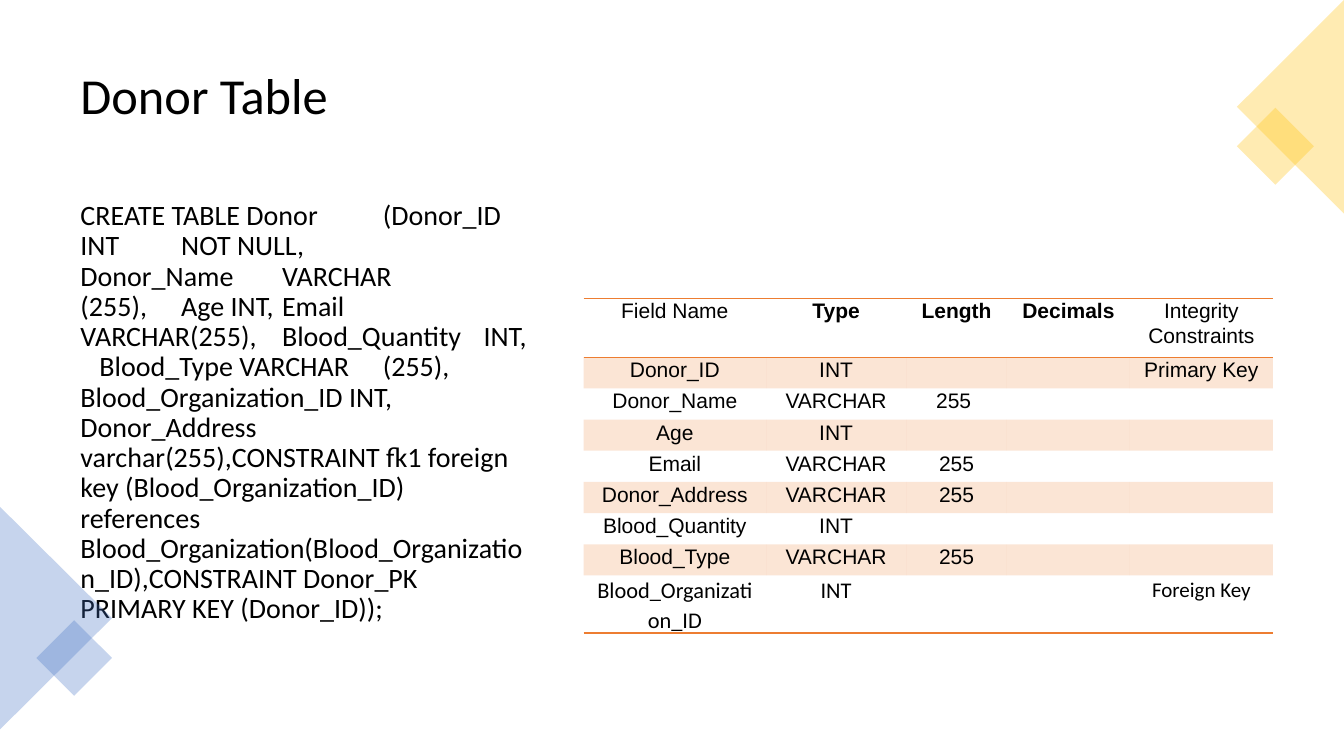
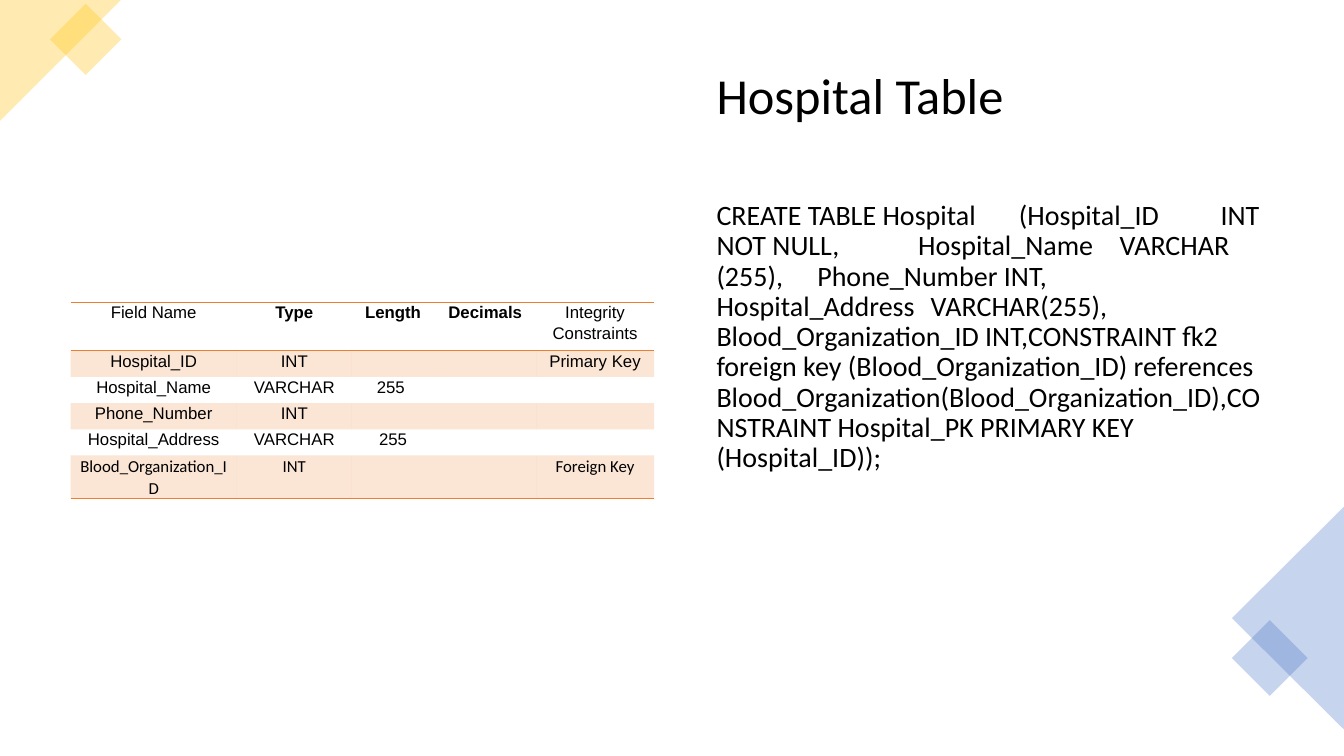
"""Builds two slides that each pair a table definition in SQL with its field list."""
from lxml.etree import SubElement
from pptx import Presentation
from pptx.dml.color import RGBColor
from pptx.enum.shapes import MSO_SHAPE
from pptx.enum.text import MSO_ANCHOR, PP_ALIGN
from pptx.oxml.ns import qn
from pptx.util import Pt

BLACK, ORANGE, YELLOW, BLUE = "000000", "ED7D31", "FFC000", "4472C4"
HEADS = ("Field Name", "Type", "Length", "Decimals", "Integrity Constraints")
BOLD_HEADS = HEADS[1:4]
PLAIN_STYLE = "{2D5ABB26-0587-4C30-8999-92F81FD0307C}"
TRIANGLE, CORNER = MSO_SHAPE.ISOSCELES_TRIANGLE, MSO_SHAPE.RIGHT_TRIANGLE
TAB_STEP, TAB_COUNT = 72, 5

SLIDES = [
    {
        "title": "Donor Table",
        "title_box": (50.4, 25.2, 859, 89.3),
        "sql": "CREATE TABLE Donor\t(Donor_ID\tINT\tNOT NULL,\tDonor_Name\tVARCHAR\t(255),"
               "\tAge INT,\tEmail\tVARCHAR(255),\tBlood_Quantity\tINT,    Blood_Type VARCHAR"
               "\t(255),    Blood_Organization_ID INT,     Donor_Address varchar(255),"
               "CONSTRAINT fk1 foreign key (Blood_Organization_ID) references "
               "Blood_Organization(Blood_Organization_ID),"
               "CONSTRAINT Donor_PK PRIMARY KEY (Donor_ID));",
        "sql_box": (50.4, 140.4, 333.4, 346.3),
        "corners": [
            (BLUE, TRIANGLE, 90, (0, 362, 80, 159), (26, 443, 54, 54)),
            (YELLOW, TRIANGLE, 270, (883.5, 0, 76.5, 152.6), (883.5, 77, 55, 55)),
        ],
        "table": {
            "at": (416.9, 213.1), "cols": (130.3, 100.1, 72, 87.8, 102.2),
            "heights": (42, 22.3), "inset": 7.2, "size": 15, "link_size": 16,
            "rows": [
                ("Donor_ID", "INT", "", "", "Primary Key"),
                ("Donor_Name", "VARCHAR", "255 ", "", ""),
                ("Age", "INT", "", "", ""),
                ("Email", "VARCHAR", "255", "", ""),
                ("Donor_Address", "VARCHAR", "255", "", ""),
                ("Blood_Quantity", "INT", "", "", ""),
                ("Blood_Type", "VARCHAR", "255", "", ""),
                ("Blood_Organization_ID", "INT", "", "", "Foreign Key"),
            ],
        },
    },
    {
        "title": "Hospital Table",
        "title_box": (504.7, 25.2, 404.6, 89.3),
        "sql": "CREATE TABLE Hospital\t(Hospital_ID\tINT\tNOT NULL,\tHospital_Name\tVARCHAR"
               "\t(255),\tPhone_Number INT,\tHospital_Address\t  VARCHAR(255),"
               "    Blood_Organization_ID INT,CONSTRAINT fk2 foreign key "
               "(Blood_Organization_ID) references "
               "Blood_Organization(Blood_Organization_ID),"
               "CONSTRAINT Hospital_PK PRIMARY KEY (Hospital_ID));",
        "sql_box": (504.7, 140.4, 404.6, 346.3),
        "corners": [
            (YELLOW, CORNER, 90, (0, 0, 86.4, 86.4), (35.7, 2.6, 51, 51)),
            (BLUE, TRIANGLE, 270, (880, 362, 80, 159), (880, 443, 54, 54)),
        ],
        "table": {
            "at": (50.4, 216), "cols": (118.8, 82.1, 59, 72.7, 84.2),
            "heights": (34.6, 18.7), "inset": 6, "size": 12, "link_size": 12,
            "rows": [
                ("Hospital_ID", "INT", "", "", "Primary Key"),
                ("Hospital_Name", "VARCHAR", "255 ", "", ""),
                ("Phone_Number", "INT", "", "", ""),
                ("Hospital_Address", "VARCHAR", "255", "", ""),
                ("Blood_Organization_ID", "INT", "", "", "Foreign Key"),
            ],
        },
    },
]


def rgb(code):
    return RGBColor.from_string(code)


def points(*values):
    return [Pt(v) for v in values]


def write(tf, text, size, font="Calibri", bold=False, align=PP_ALIGN.LEFT, spacing=0.9, after=0, tabs=False):
    p = tf.paragraphs[0]
    p.alignment, p.line_spacing, p.space_after = align, spacing, Pt(after)
    if tabs:
        stops = SubElement(p._p.get_or_add_pPr(), qn("a:tabLst"))
        for i in range(1, TAB_COUNT + 1):
            SubElement(stops, qn("a:tab"), pos=str(Pt(i * TAB_STEP)), algn="l")
    if not text:
        SubElement(p._p, qn("a:endParaRPr"), sz=str(size * 100))
        return
    r = p.add_run()
    r.text = text
    r.font.size, r.font.name, r.font.bold = Pt(size), font, bold
    r.font.color.rgb = rgb(BLACK)


def add_text(s, box, text, size, anchor=MSO_ANCHOR.TOP, **fmt):
    tf = s.shapes.add_textbox(*points(*box)).text_frame
    tf.word_wrap, tf.vertical_anchor = True, anchor
    write(tf, text, size, **fmt)


def tint(fill, parent, color, percent):
    fill.solid()
    fill.fore_color.rgb = rgb(color)
    clr = parent.find(qn("a:solidFill")).find(qn("a:srgbClr"))
    SubElement(clr, qn("a:alpha"), val=str(percent * 1000))


def add_tinted(s, kind, box, color, turn=0):
    x, y, w, h = box
    if turn:
        x, y, w, h = x + (w - h) / 2, y + (h - w) / 2, h, w
    sp = s.shapes.add_shape(kind, *points(x, y, w, h))
    sp.rotation = turn
    sp.shadow.inherit = False
    sp.line.fill.background()
    tint(sp.fill, sp._element.spPr, color, 30)


def add_border(cell, side):
    ln = SubElement(cell._tc.get_or_add_tcPr(), qn("a:" + side), w=str(Pt(1)))
    SubElement(SubElement(ln, qn("a:solidFill")), qn("a:srgbClr"), val=ORANGE)


def add_field_table(s, data):
    rows = [HEADS] + data["rows"]
    last = len(rows) - 1
    head_h, row_h = data["heights"]
    size = sum(data["cols"]), head_h + row_h * last
    table = s.shapes.add_table(len(rows), len(HEADS), *points(*data["at"], *size)).table
    table.first_row = table.horz_banding = False
    table._tbl.tblPr.find(qn("a:tableStyleId")).text = PLAIN_STYLE
    for col, width in zip(table.columns, data["cols"]):
        col.width = Pt(width)
    for i, texts in enumerate(rows):
        table.rows[i].height = Pt(row_h if i else head_h)
        for j, text in enumerate(texts):
            cell = table.cell(i, j)
            cell.margin_left = cell.margin_right = Pt(data["inset"])
            cell.margin_top = cell.margin_bottom = 0
            if i == 0:
                add_border(cell, "lnT")
            if i in (0, last):
                add_border(cell, "lnB")
            if i % 2:
                tint(cell.fill, cell._tc.tcPr, ORANGE, 20)
            else:
                cell.fill.background()
            write(cell.text_frame, text, data["link_size"] if i == last and j < 2 else data["size"],
                  font="Calibri" if i == last else "Arial", bold=i == 0 and text in BOLD_HEADS,
                  align=PP_ALIGN.CENTER, spacing=1.07)


def main():
    prs = Presentation()
    prs.slide_width, prs.slide_height = points(960, 540)
    for data in SLIDES:
        s = prs.slides.add_slide(prs.slide_layouts[6])
        add_text(s, data["title_box"], data["title"], 36, anchor=MSO_ANCHOR.MIDDLE)
        add_text(s, data["sql_box"], data["sql"], 20, after=6, tabs=True)
        for color, kind, turn, big, small in data["corners"]:
            add_tinted(s, kind, big, color, turn)
            add_tinted(s, MSO_SHAPE.DIAMOND, small, color)
        add_field_table(s, data["table"])
    prs.save("out.pptx")


if __name__ == "__main__":
    main()
